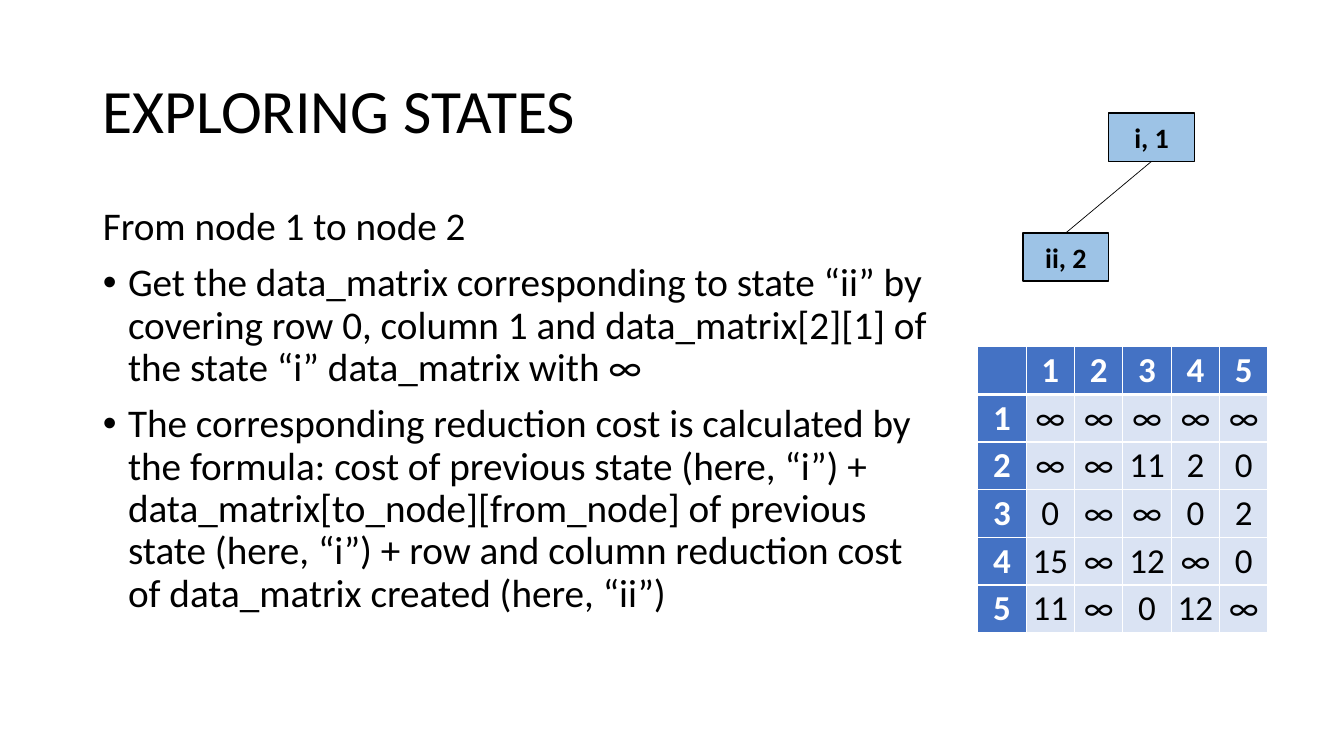
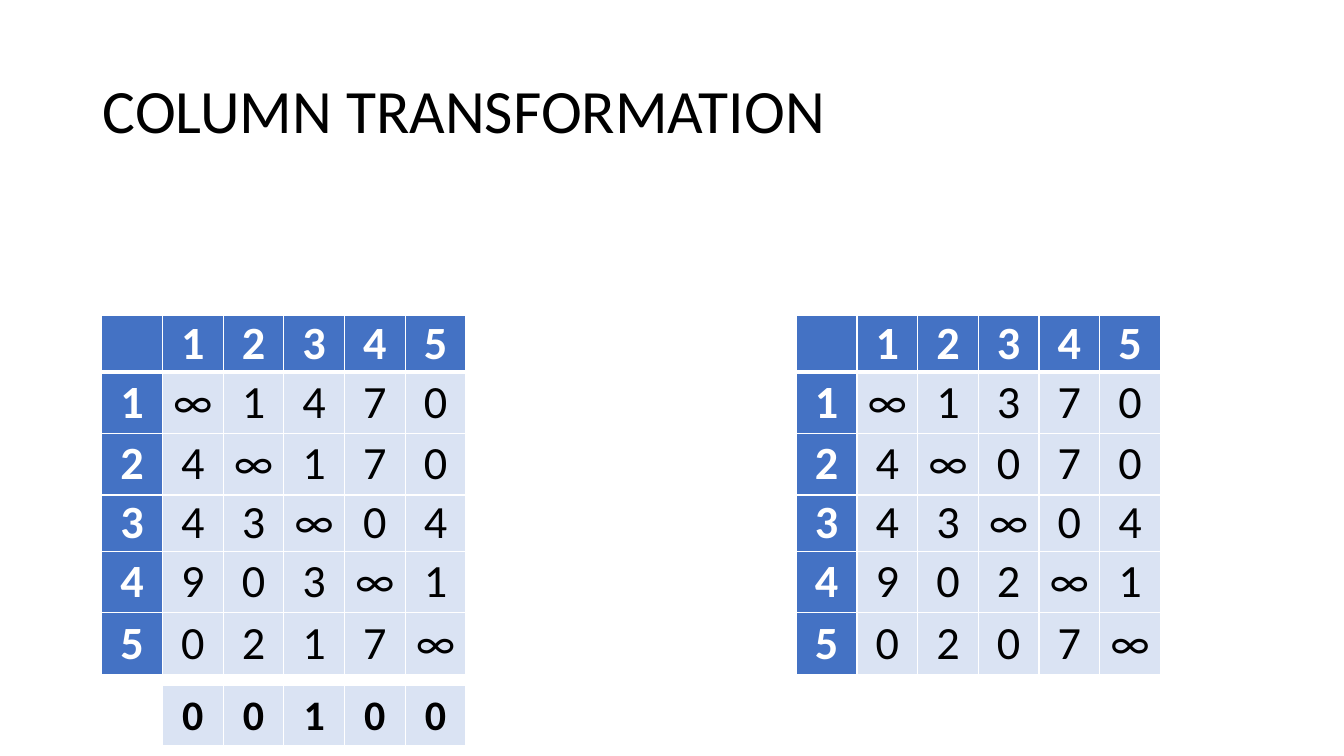
from lxml.etree import SubElement
from pptx import Presentation
from pptx.dml.color import RGBColor
from pptx.enum.shapes import MSO_CONNECTOR, MSO_SHAPE
from pptx.enum.text import MSO_ANCHOR, MSO_AUTO_SIZE, PP_ALIGN
from pptx.oxml.ns import qn
from pptx.util import Emu, Pt

EMU_PER_PX = 9144  # 100 px to the inch
FONT = "Calibri"
COLORS = {
    "text": "000000",
    "white": "FFFFFF",
    "header": "4472C4",
    "cell": "DAE3F3",
    "node": "9DC3E6",
}
LAYOUT_CONTENT, LAYOUT_TITLE_ONLY = 1, 5
TITLE_BOX = (92, 40, 1150, 145)
BULLET_INDENT = 25

STATE_MATRIX = [
    "∞ ∞ ∞ ∞ ∞",
    "∞ ∞ 11 2 0",
    "0 ∞ ∞ 0 2",
    "15 ∞ 12 ∞ 0",
    "11 ∞ 0 12 ∞",
]
MATRIX_BEFORE = ["∞ 1 4 7 0", "4 ∞ 1 7 0", "4 3 ∞ 0 4", "9 0 3 ∞ 1", "0 2 1 7 ∞"]
MATRIX_AFTER = ["∞ 1 3 7 0", "4 ∞ 0 7 0", "4 3 ∞ 0 4", "9 0 2 ∞ 1", "0 2 0 7 ∞"]
COLUMN_MINIMA = "0 0 1 0 0"


def px(length):
    return Emu(round(length * EMU_PER_PX))


def color(name):
    return RGBColor.from_string(COLORS[name])


def set_font(para, size, name="text", bold=False):
    font = para.font
    font.name, font.size, font.bold = FONT, Pt(size), bold
    font.color.rgb = color(name)


def place(shape, box):
    shape.left, shape.top, shape.width, shape.height = map(px, box)


# Title and body placeholders
def add_page(deck, layout, title):
    page = deck.slides.add_slide(deck.slide_layouts[layout])
    place(page.shapes.title, TITLE_BOX)
    frame = page.shapes.title.text_frame
    frame.text = title
    frame.auto_size = MSO_AUTO_SIZE.NONE
    frame.vertical_anchor = MSO_ANCHOR.MIDDLE
    para = frame.paragraphs[0]
    para.alignment, para.line_spacing = PP_ALIGN.LEFT, 0.9
    set_font(para, 44)
    return page


def set_bullet(para, bulleted):
    props = para._p.get_or_add_pPr()
    indent = px(BULLET_INDENT) if bulleted else 0
    props.set("marL", str(indent))
    props.set("indent", str(-indent))
    if bulleted:
        SubElement(props, qn("a:buFont"), typeface="Arial")
        SubElement(props, qn("a:buChar"), char="•")
    else:
        SubElement(props, qn("a:buNone"))


def fill_body(body, box, lead, bullets):
    place(body, box)
    frame = body.text_frame
    frame.auto_size = MSO_AUTO_SIZE.NONE
    for index, text in enumerate([lead, *bullets]):
        para = frame.add_paragraph() if index else frame.paragraphs[0]
        para.text = text
        para.line_spacing = 0.9
        para.space_before = Pt(10 if index else 0)
        set_bullet(para, bulleted=index > 0)
        set_font(para, 28)


# Matrix tables
def set_borders(cell, bottom_width):
    props = cell._tc.get_or_add_tcPr()
    for side in ("L", "R", "T", "B"):
        width = Pt(bottom_width if side == "B" else 1)
        line = SubElement(props, qn(f"a:ln{side}"), w=str(width))
        fill = SubElement(line, qn("a:solidFill"))
        SubElement(fill, qn("a:srgbClr"), val=COLORS["white"])


def style_cell(cell, text, size, is_header, bold, bottom_width):
    set_borders(cell, bottom_width)
    cell.fill.solid()
    cell.fill.fore_color.rgb = color("header" if is_header else "cell")
    cell.margin_left = cell.margin_right = cell.margin_top = cell.margin_bottom = 0
    cell.vertical_anchor = MSO_ANCHOR.MIDDLE
    cell.text = text
    para = cell.text_frame.paragraphs[0]
    para.alignment = PP_ALIGN.CENTER
    set_font(para, size, "white" if is_header else "text", bold)


def add_grid(page, left, top, column_width, row_heights, rows, size, headed=True):
    """Place a table; headed tables have a header row and a header column."""
    count = len(rows[0])
    box = (left, top, column_width * count, sum(row_heights))
    table = page.shapes.add_table(len(rows), count, *map(px, box)).table
    table.first_row, table.horz_banding = headed, False
    for column in table.columns:
        column.width = px(column_width)
    for y, (height, values) in enumerate(zip(row_heights, rows)):
        table.rows[y].height = px(height)
        for x, text in enumerate(values):
            is_header = headed and (x == 0 or y == 0)
            style_cell(table.cell(y, x), text, size, is_header,
                       bold=is_header or not headed,
                       bottom_width=3 if headed and y == 0 else 1)


def with_headers(matrix):
    labels = [str(n) for n in range(1, len(matrix) + 1)]
    return [["", *labels]] + [[label, *line.split()] for label, line in zip(labels, matrix)]


# State tree
def add_node(page, left, top, width, height, text):
    node = page.shapes.add_shape(MSO_SHAPE.RECTANGLE, *map(px, (left, top, width, height)))
    node.shadow.inherit = False
    node.fill.solid()
    node.fill.fore_color.rgb = color("node")
    node.line.color.rgb = color("text")
    node.line.width = Pt(1)
    frame = node.text_frame
    frame.text = text
    frame.vertical_anchor = MSO_ANCHOR.MIDDLE
    para = frame.paragraphs[0]
    para.alignment = PP_ALIGN.CENTER
    set_font(para, 20, bold=True)
    return node


def add_state_tree(page, left, top, parent_text, child_text):
    width, height, drop = 85, 48, 119
    parent = add_node(page, left + width, top, width, height, parent_text)
    child = add_node(page, left, top + drop, width, height, child_text)
    edge = page.shapes.add_connector(MSO_CONNECTOR.STRAIGHT, 0, 0, 0, 0)
    edge.begin_connect(parent, 2)
    edge.end_connect(child, 0)
    edge.line.color.rgb = color("text")
    edge.line.width = Pt(0.5)
    SubElement(edge._element.spPr, qn("a:effectLst"))


# Slides
def build_exploring_states(deck):
    page = add_page(deck, LAYOUT_CONTENT, "EXPLORING STATES")
    fill_body(page.placeholders[1], (92, 200, 851, 476), "From node 1 to node 2", [
        "Get the data_matrix corresponding to state “ii” by covering row 0, column 1 "
        "and data_matrix[2][1] of the state “i” data_matrix with ∞",
        "The corresponding reduction cost is calculated by the formula: cost of previous "
        "state (here, “i”) + data_matrix[to_node][from_node] of previous state "
        "(here, “i”) + row and column reduction cost of data_matrix created (here, “ii”)",
    ])
    add_state_tree(page, 1015, 112, "i, 1", "ii, 2")
    add_grid(page, 970, 344, 48, [47.3] * 6, with_headers(STATE_MATRIX), 25)


def build_column_transformation(deck):
    page = add_page(deck, LAYOUT_TITLE_ONLY, "COLUMN TRANSFORMATION")
    column_width, heights = 60.2, [56, 61, 61, 56, 61, 61]
    left, top = 101, 313
    add_grid(page, left + column_width, 680, column_width, [60],
             [COLUMN_MINIMA.split()], 30, headed=False)
    for start, matrix in ((790, MATRIX_AFTER), (left, MATRIX_BEFORE)):
        add_grid(page, start, top, column_width, heights, with_headers(matrix), 33)


def main():
    deck = Presentation()
    deck.slide_width, deck.slide_height = px(1333.33), px(750)
    build_exploring_states(deck)
    build_column_transformation(deck)
    deck.save("out.pptx")


if __name__ == "__main__":
    main()
